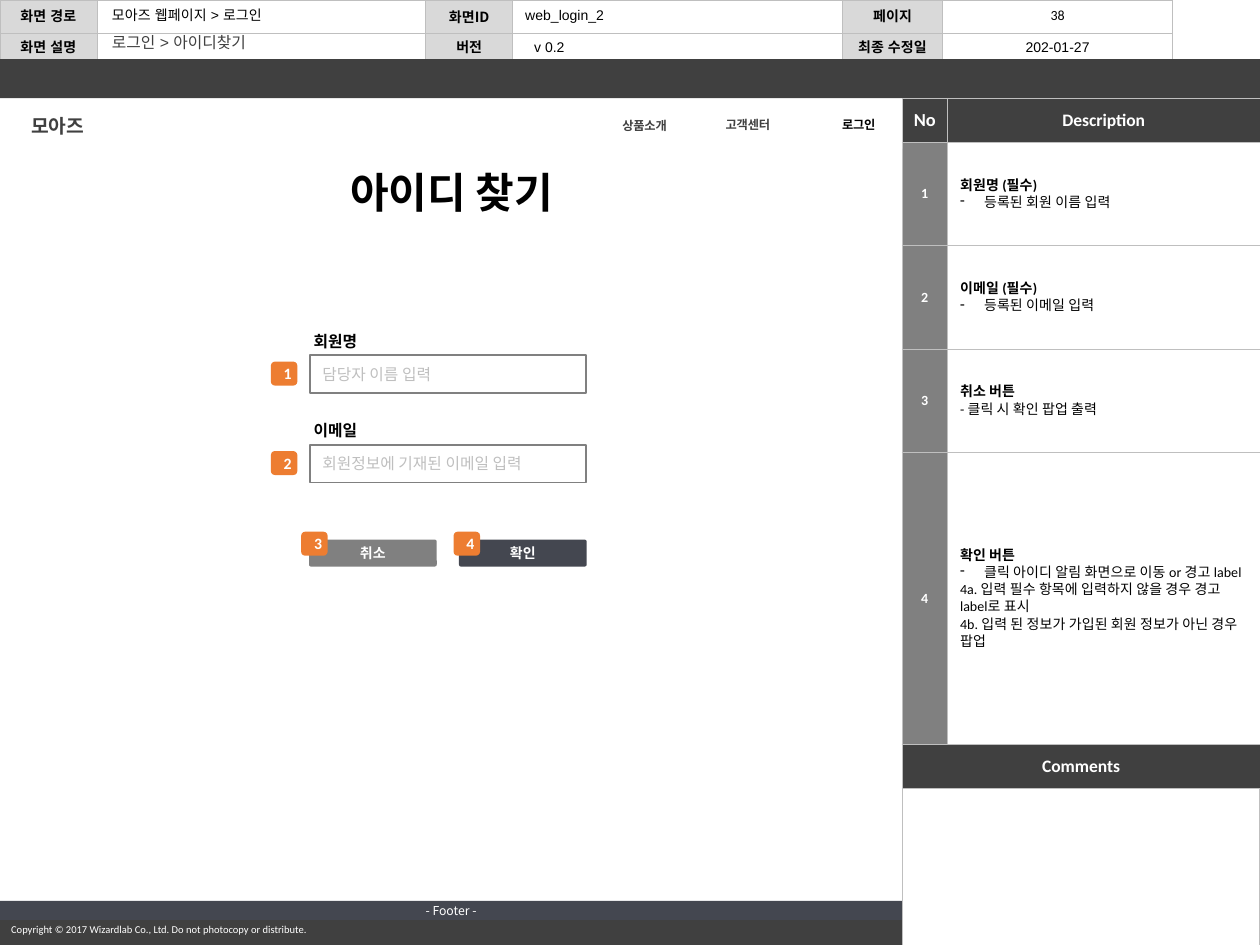
from lxml import etree
from pptx import Presentation
from pptx import util as u
from pptx.dml.color import RGBColor
from pptx.enum import shapes, text
from pptx.oxml.ns import qn

In = u.Inches
COLORS = {"dark": "404040", "slate": "444750", "gray": "808080", "border": "BFBFBF",
          "label": "D9D9D9", "orange": "ED7D31", "white": "FFFFFF", "black": "000000"}
RECT, ROUND = shapes.MSO_SHAPE.RECTANGLE, shapes.MSO_SHAPE.ROUNDED_RECTANGLE
LEFT, CENTER = text.PP_ALIGN.LEFT, text.PP_ALIGN.CENTER
TOP, MIDDLE = text.MSO_ANCHOR.TOP, text.MSO_ANCHOR.MIDDLE


def rgb(name):
    return RGBColor.from_string(COLORS[name])


def style(p, size, color="black", bold=False, font="Calibri", align=LEFT):
    p.alignment = align
    for r in p.runs:
        f = r.font
        f.size, f.bold, f.name = u.Pt(size), bold, font
        f.color.rgb = rgb(color)
        etree.SubElement(r._r.get_or_add_rPr(), qn("a:ea")).set("typeface", font)


def add_text(s, x, y, w, h, words, size, color="black", wrap=True, anchor=MIDDLE,
             spacing=None, **kw):
    tf = s.shapes.add_textbox(In(x), In(y), In(w), In(h)).text_frame
    tf.word_wrap, tf.vertical_anchor = wrap, anchor
    tf.text = words
    style(tf.paragraphs[0], size, color, **kw)
    if spacing:
        tf.paragraphs[0].line_spacing = spacing


def add_box(s, x, y, w, h, fill, kind=RECT, line=None, line_w=1, words="", size=9,
            color="white", **kw):
    sp = s.shapes.add_shape(kind, In(x), In(y), In(w), In(h))
    sp.shadow.inherit = False
    sp.fill.solid()
    sp.fill.fore_color.rgb = rgb(fill)
    if line:
        sp.line.color.rgb, sp.line.width = rgb(line), u.Pt(line_w)
    else:
        sp.line.fill.background()
    if words:
        sp.text_frame.text = words
        sp.text_frame.vertical_anchor = MIDDLE
        style(sp.text_frame.paragraphs[0], size, color, **kw)
    return sp


def add_badge(s, x, y, number):
    add_box(s, x, y, 0.21, 0.19, "orange", ROUND, words=str(number), bold=True, align=CENTER)


def add_grid(s, x, y, cols, rows):
    tbl = s.shapes.add_table(len(rows), len(cols), In(x), In(y),
                             In(sum(cols)), In(sum(rows))).table
    tbl.first_row = tbl.horz_banding = False
    for col, w in zip(tbl.columns, cols):
        col.width = In(w)
    for row, h in zip(tbl.rows, rows):
        row.height = In(h)
    return tbl


def fill_cell(cell, lines, size, fill=None, color="black", narrow=True, **kw):
    tc_pr = cell._tc.get_or_add_tcPr()
    for side in ("lnL", "lnR", "lnT", "lnB"):
        ln = etree.SubElement(tc_pr, qn("a:" + side), w=str(u.Pt(0.5)))
        solid = etree.SubElement(ln, qn("a:solidFill"))
        etree.SubElement(solid, qn("a:srgbClr"), val=COLORS["border"])
    if fill:
        cell.fill.solid()
        cell.fill.fore_color.rgb = rgb(fill)
    else:
        cell.fill.background()
    cell.vertical_anchor = MIDDLE
    if narrow:
        cell.margin_left = cell.margin_right = In(0.07)
    cell.text_frame.text = "\n".join(lines)
    for p in cell.text_frame.paragraphs:
        style(p, size, color, **kw)
        if not p.runs:
            etree.SubElement(p._p, qn("a:endParaRPr"), sz=str(size * 100))


def indent(p, left, first=0, bullet=None):
    p_pr = p._p.get_or_add_pPr()
    p_pr.set("marL", str(In(left)))
    p_pr.set("indent", str(In(first)))
    if bullet:
        etree.SubElement(p_pr, qn("a:buChar"), char=bullet)


# Document information along the top
def header(s, x, y, w):
    tbl = add_grid(s, x, y, [0.77, 2.61, 0.69, 2.62, 0.79, 1.83], [0.2, 0.2])
    rows = [["화면 경로", "", "화면ID", "", "페이지", ""],
            ["화면 설명", "", "버전", "v 0.2", "최종 수정일", "202-01-27"]]
    for i, row in enumerate(rows):
        for j, words in enumerate(row):
            is_label = j % 2 == 0
            fill_cell(tbl.cell(i, j), [words], 8, "label" if is_label else None,
                      bold=is_label, font="Noto Sans CJK KR" if words == "화면ID" else "Arial",
                      align=LEFT if j == 3 else CENTER)
    indent(tbl.cell(1, 3).text_frame.paragraphs[0], 0.1)
    add_box(s, x, y + 0.47, w, 0.31, "dark")
    add_text(s, x + 7.58, y, 1.63, 0.24, "38", 8, anchor=TOP, align=CENTER)
    add_text(s, x + 0.79, y, 2.59, 0.24, "모아즈 웹페이지 > 로그인", 8, anchor=TOP, font="Arial")
    add_text(s, x + 0.79, y + 0.23, 2.61, 0.23, "로그인 > 아이디찾기", 9, "dark",
             font="Arial", spacing=0.9)
    add_text(s, x + 4.07, y + 0.01, 2.62, 0.23, "web_login_2", 8, font="Arial", spacing=0.9)


# Copyright strip and page footer
def footer(s, x, y, w, page_w):
    add_box(s, x, y + 0.15, w, 0.2, "dark")
    add_text(s, x - 0.01, y + 0.13, 2.95, 0.2,
             "Copyright © 2017 Wizardlab Co., Ltd. Do not photocopy or distribute.",
             6, "white", wrap=False, anchor=TOP)
    add_box(s, x, y, page_w, 0.15, "slate", words="- Footer -", size=7,
            font="Noto Sans CJK KR", align=CENTER)


# Numbered descriptions and comments
def description(s, x, y, w, h):
    cols, head_h, comments_y = [0.36, w - 0.36], 0.35, y + 5.13
    head = add_grid(s, x, y, cols, [head_h])
    for j, (words, size) in enumerate([("No", 10.5), ("Description", 10)]):
        fill_cell(head.cell(0, j), [words], size, "dark", "white", bold=True, align=CENTER)
    edge = s.shapes.add_connector(shapes.MSO_CONNECTOR.STRAIGHT, In(x), In(y), In(x), In(y + h))
    edge.line.color.rgb, edge.line.width = rgb("border"), u.Pt(0.5)
    etree.SubElement(edge._element.spPr, qn("a:effectLst"))

    add_box(s, x, comments_y, w, y + h - comments_y, "white", line="border", line_w=0.5)
    comments = add_grid(s, x, comments_y, [w], [head_h])
    fill_cell(comments.cell(0, 0), ["Comments"], 10, "dark", "white", bold=True, align=CENTER)

    # Each item: lines of text, and whether the second line is a bullet
    items = [(["회원명 (필수)", "등록된 회원 이름 입력"], True),
             (["이메일 (필수)", "등록된 이메일 입력"], True),
             (["취소 버튼", "- 클릭 시 확인 팝업 출력"], False),
             (["확인 버튼", "클릭 아이디 알림 화면으로 이동 or 경고 label",
               "4a. 입력 필수 항목에 입력하지 않을 경우 경고 label로 표시",
               "4b. 입력 된 정보가 가입된 회원 정보가 아닌 경우 팝업"], True)]
    tbl = add_grid(s, x, y + head_h, cols, [0.82, 0.82, 0.82, 2.32])
    for i, (lines, bulleted) in enumerate(items):
        fill_cell(tbl.cell(i, 0), [str(i + 1)], 8, "gray", "white", narrow=False,
                  bold=True, align=CENTER)
        cell = tbl.cell(i, 1)
        fill_cell(cell, lines, 8, "white", narrow=False)
        ps = cell.text_frame.paragraphs
        ps[0].runs[0].font.bold = True
        if bulleted:
            indent(ps[1], 0.19, -0.19, "-")


# Site navigation
def navigation(s, x, y, w):
    add_box(s, x, y, w, 0.39, "white")
    entries = [(0.13, 0.06, 0.66, 0.29, "모아즈", 11, "dark"),
               (6.52, 0.08, 0.59, 0.24, "로그인", 7, "black"),
               (5.64, 0.09, 0.59, 0.22, "고객센터", 7, "dark"),
               (4.82, 0.1, 0.59, 0.22, "상품소개", 7, "dark")]
    for dx, dy, ew, eh, words, size, color in entries:
        add_text(s, x + dx, y + dy, ew, eh, words, size, color, wrap=False,
                 bold=True, align=CENTER)


# Form for finding an ID
def find_id_form(s, x, y, w):
    add_text(s, x - 0.14, y - 1.31, 2.53, 0.5, "아이디 찾기", 24, anchor=TOP,
             bold=True, align=CENTER)
    fields = [("회원명", "담당자 이름 입력"), ("이메일", "회원정보에 기재된 이메일 입력")]
    for i, (label, hint) in enumerate(fields):
        top = y + i * 0.71
        add_text(s, x - 0.07, top, 0.58, 0.25, label, 9, wrap=False, bold=True)
        add_box(s, x, top + 0.24, w, 0.3, "white", line="gray", words=hint, color="border")
        add_badge(s, x - 0.31, top + 0.29, i + 1)
    buttons = [("취소", "gray", 0, -0.07), ("확인", "slate", w - 1, -0.05)]
    for i, (words, fill, dx, badge_dx) in enumerate(buttons):
        sp = add_box(s, x + dx, y + 1.71, 1, 0.2, fill, ROUND, line=fill, words=words,
                     size=8, bold=True, align=CENTER)
        sp.adjustments[0] = 0.05
        add_badge(s, x + dx + badge_dx, y + 1.64, i + 3)


def main():
    prs = Presentation()
    prs.slide_width, prs.slide_height = In(10), In(7.5)
    s = prs.slides.add_slide(prs.slide_layouts[6])
    header(s, 0, 0, 10)
    footer(s, 0, 7.15, 10, 7.16)
    description(s, 7.16, 0.78, 2.84, 6.72)
    navigation(s, 0, 0.79, 7.16)
    find_id_form(s, 2.46, 2.58, 2.19)
    prs.save("out.pptx")


if __name__ == "__main__":
    main()
